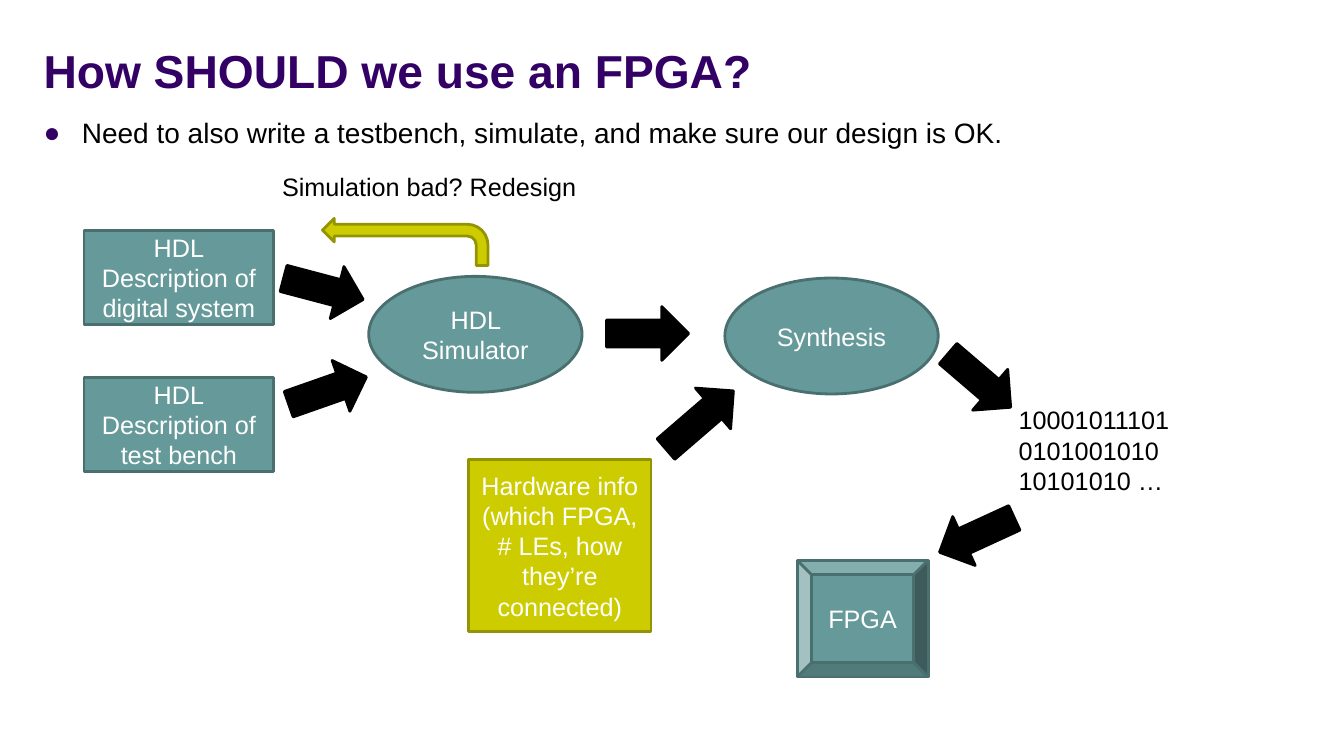
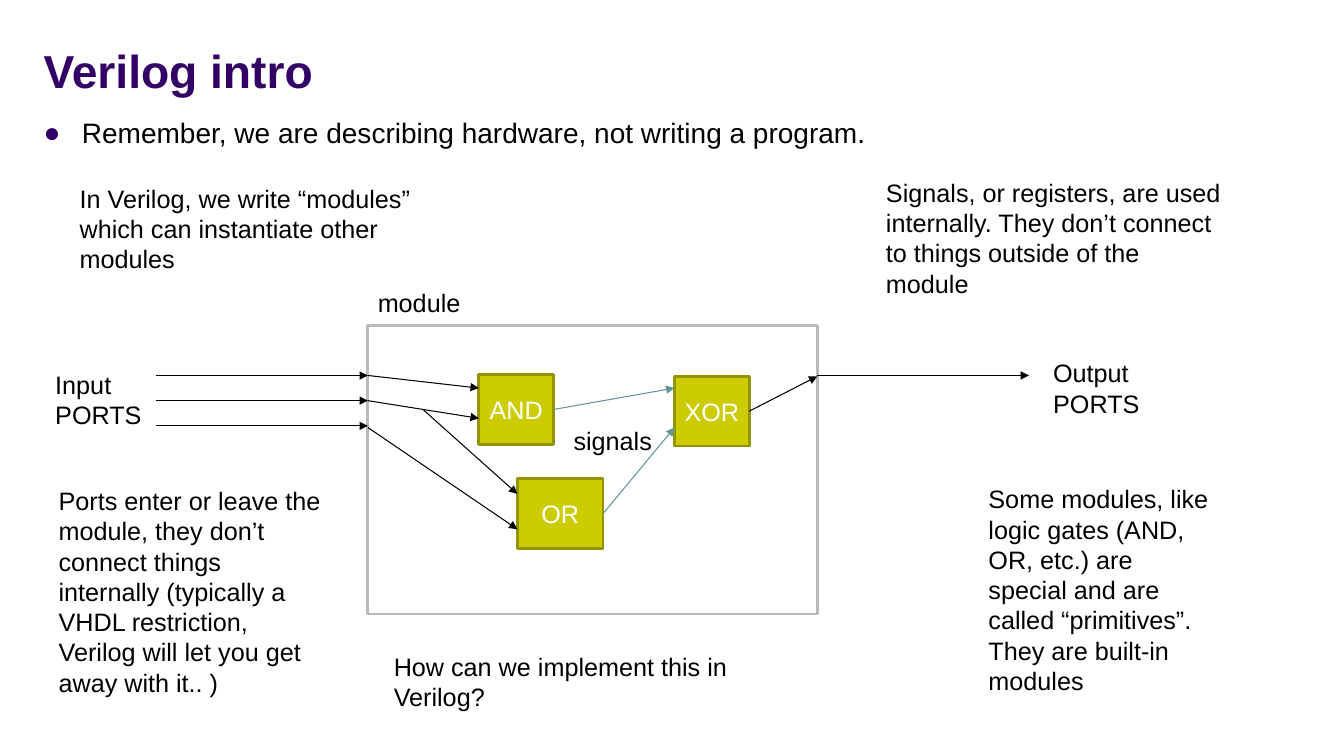
from dataclasses import dataclass

from lxml.etree import SubElement
from pptx import Presentation
from pptx.dml.color import RGBColor
from pptx.enum.shapes import MSO_CONNECTOR, MSO_SHAPE
from pptx.enum.text import MSO_ANCHOR, MSO_AUTO_SIZE, PP_ALIGN
from pptx.oxml.ns import qn
from pptx.util import Inches, Pt

HUES = {
    "title": "330066", "ink": "000000", "paper": "FFFFFF",
    "teal": "669999", "pine": "4A6F6F", "lime": "CCCC00",
    "moss": "949400", "frame": "BABABA", "signal": "619696",
}
FACE = "Arial"
COLS, ROWS = 160, 90
CELL = Inches(7.5) / ROWS
TEAL, LIME, INK = ("teal", "pine"), ("lime", "moss"), ("ink", "ink")

TITLE = {"size": Pt(33), "bold": True}
POINT = {"size": Pt(20)}
PLAIN = {"size": Pt(18)}
NOTE = {"word_wrap": True, "auto_size": MSO_AUTO_SIZE.SHAPE_TO_FIT_TEXT}
LABEL = {"word_wrap": True, "vertical_anchor": MSO_ANCHOR.MIDDLE}
HEAD = {"word_wrap": True, "vertical_anchor": MSO_ANCHOR.BOTTOM}


@dataclass
class Box:
    x: float
    y: float
    w: float
    h: float

    def spot(self, x, y):
        return round((self.x + x) * CELL), round((self.y + y) * CELL)

    def area(self, x, y, w, h):
        return *self.spot(x, y), round(w * CELL), round(h * CELL)


def hue(name):
    return RGBColor.from_string(HUES[name])


def apply(item, form):
    for key, value in form.items():
        setattr(item, key, value)


def write(shape, text, frame, font, tint="ink", align=PP_ALIGN.LEFT):
    body = shape.text_frame
    body.text = text
    apply(body, frame)
    for para in body.paragraphs:
        para.alignment = align
        for run in para.runs:
            apply(run.font, {"name": FACE, **font})
            run.font.color.rgb = hue(tint)
    return body


def note(slide, spot, text, frame=NOTE, font=PLAIN, tint="ink"):
    return write(slide.shapes.add_textbox(*spot), text, frame, font, tint)


def block(slide, kind, spot, paint, text="", turn=0):
    shape = slide.shapes.add_shape(kind, *spot)
    apply(shape, {"rotation": turn})
    shape.shadow.inherit = False
    shape.fill.solid()
    shape.fill.fore_color.rgb = hue(paint[0])
    shape.line.color.rgb = hue(paint[1])
    shape.line.width = Pt(2)
    if text:
        write(shape, text, LABEL, PLAIN, "paper", PP_ALIGN.CENTER)
    return shape


def wire(slide, start, end, tint="ink", gate=None):
    line = slide.shapes.add_connector(MSO_CONNECTOR.STRAIGHT, *start, *end)
    if gate is not None:
        line.begin_connect(gate, 3)
    line.line.color.rgb = hue(tint)
    line.line.width = Pt(0.75)
    props = line._element.spPr
    SubElement(props.find(qn("a:ln")), qn("a:tailEnd"), type="triangle")
    SubElement(props, qn("a:effectLst"))


def bullet(para):
    props = para._p.get_or_add_pPr()
    dent = Inches(0.38)
    props.set("marL", str(dent))
    props.set("indent", str(-dent))
    tint = SubElement(props, qn("a:buClr"))
    SubElement(tint, qn("a:srgbClr"), val=HUES["title"])
    SubElement(props, qn("a:buFont"), typeface=FACE)
    SubElement(props, qn("a:buChar"), char="●")


def header(slide, box, title, point):
    note(slide, box.area(0, 0, box.w, 11.4), title, HEAD, TITLE, "title")
    body = note(slide, box.area(0, 12.4, box.w, 6), point,
                {"word_wrap": True}, POINT)
    bullet(body.paragraphs[0])


def flow(slide, box):
    for row, name in enumerate(("digital system", "test bench")):
        block(slide, MSO_SHAPE.RECTANGLE,
              box.area(0, 7.6 + 17.5 * row, 22.6, 11.2), TEAL,
              f"HDL\nDescription of {name}")
    for x, y, name in ((33.9, 13.1, "HDL Simulator"), (76.3, 13.3, "Synthesis")):
        block(slide, MSO_SHAPE.OVAL, box.area(x, y, 25.4, 13.8), TEAL, name)
    block(slide, MSO_SHAPE.BEVEL, box.area(84.9, 46.9, 15.6, 13.9), TEAL, "FPGA")
    block(slide, MSO_SHAPE.RECTANGLE, box.area(45.8, 34.9, 21.7, 20.5), LIME,
          "Hardware info (which FPGA, # LEs, how they’re connected)")
    for x, y, wide, turn in (
        (23.6, 11.4, 9.8, 14.8), (24.1, 23.5, 9.8, 340.7),
        (62.2, 16.7, 9.8, 0), (68, 27, 10.6, 319.2),
        (101.7, 22.3, 9.8, 40.6), (101.4, 40.7, 9.8, 155.3),
    ):
        block(slide, MSO_SHAPE.RIGHT_ARROW, box.area(x, y, wide, 6.4), INK,
              turn=turn)
    back = block(slide, MSO_SHAPE.BENT_ARROW, box.area(28.4, 6.2, 19.7, 5.6), LIME)
    back.adjustments[3] = 0.44
    back._element.spPr.find(qn("a:xfrm")).set("flipH", "1")
    note(slide, box.area(22.4, 0, 38.8, 4.8), "Simulation bad? Redesign")
    note(slide, box.area(110.1, 27.8, 20.4, 12.1),
         "10001011101\v0101001010\v10101010 …")


def module(slide, box):
    block(slide, MSO_SHAPE.RECTANGLE, box.area(0, 0, box.w, box.h),
          ("paper", "frame"))
    reach, top, step = 25.2, 5.9, 3
    for row in range(3):
        y = top + step * row
        wire(slide, box.spot(-reach, y), box.spot(0, y))
    wire(slide, box.spot(box.w, top), box.spot(box.w + reach, top))

    gates = {
        name: block(slide, MSO_SHAPE.RECTANGLE, box.area(x, y, wide, 8.3),
                    LIME, name)
        for name, x, y, wide in (
            ("AND", 13.2, 5.8, 8.9), ("OR", 17.8, 18.2, 10.2),
            ("XOR", 36.5, 6, 8.9))
    }
    for start, end in (
        ((0, top), (13.2, 7.4)), ((0, top + step), (13.2, 11)),
        ((0, 12.1), (17.8, 24.2)), ((6.5, 9.9), (17.8, 20)),
    ):
        wire(slide, box.spot(*start), box.spot(*end))
    for name, end, tint in (
        ("OR", (36.5, 12.1), "signal"), ("AND", (36.5, 7.4), "signal"),
        ("XOR", (box.w, 6), "ink"),
    ):
        wire(slide, box.spot(0, 0), box.spot(*end), tint, gates[name])
    for x, y, high, text in (
        (0, -5.2, 4.8, "module"), (23.3, 11.2, 4.8, "signals"),
        (-38.4, 4.6, 8.5, "Input PORTS"), (80.4, 3.2, 8.5, "Output\vPORTS"),
    ):
        note(slide, box.area(x, y, 13.2, high), text)


def remarks(slide, box):
    for x, y, wide, high, text in (
        (8.3, 21.2, 42, 12.1,
         "In Verilog, we write “modules” which can instantiate other modules"),
        (104.3, 20.5, 43, 15.7,
         "Signals, or registers, are used internally. They don’t connect "
         "to things outside of the module"),
        (5.8, 57.2, 33.6, 26.6,
         "Ports enter or leave the module, they don’t connect things "
         "internally (typically a VHDL restriction, Verilog will let you "
         "get away with it.. )"),
        (116.5, 57, 28.6, 26.6,
         "Some modules, like logic gates (AND, OR, etc.) are special and are "
         "called “primitives”. They are built-in modules"),
        (45.7, 76.9, 51.6, 8.5, "How can we implement this in Verilog?"),
    ):
        note(slide, box.area(x, y, wide, high), text)


def main():
    deck = Presentation()
    apply(deck, {"slide_width": round(COLS * CELL),
                 "slide_height": round(ROWS * CELL)})
    pages = (
        ("How SHOULD we use an FPGA?",
         "Need to also write a testbench, simulate, and make sure our "
         "design is OK.",
         ((flow, Box(10, 19.8, 131, 61)),)),
        ("Verilog intro",
         "Remember, we are describing hardware, not writing a program.",
         ((module, Box(43.8, 38.8, 53.5, 34.3)),
          (remarks, Box(0, 0, COLS, ROWS)))),
    )
    for title, point, parts in pages:
        slide = deck.slides.add_slide(deck.slide_layouts[6])
        header(slide, Box(4, 0.8, 152, 18.4), title, point)
        for draw, box in parts:
            draw(slide, box)
    deck.save("out.pptx")


if __name__ == "__main__":
    main()
